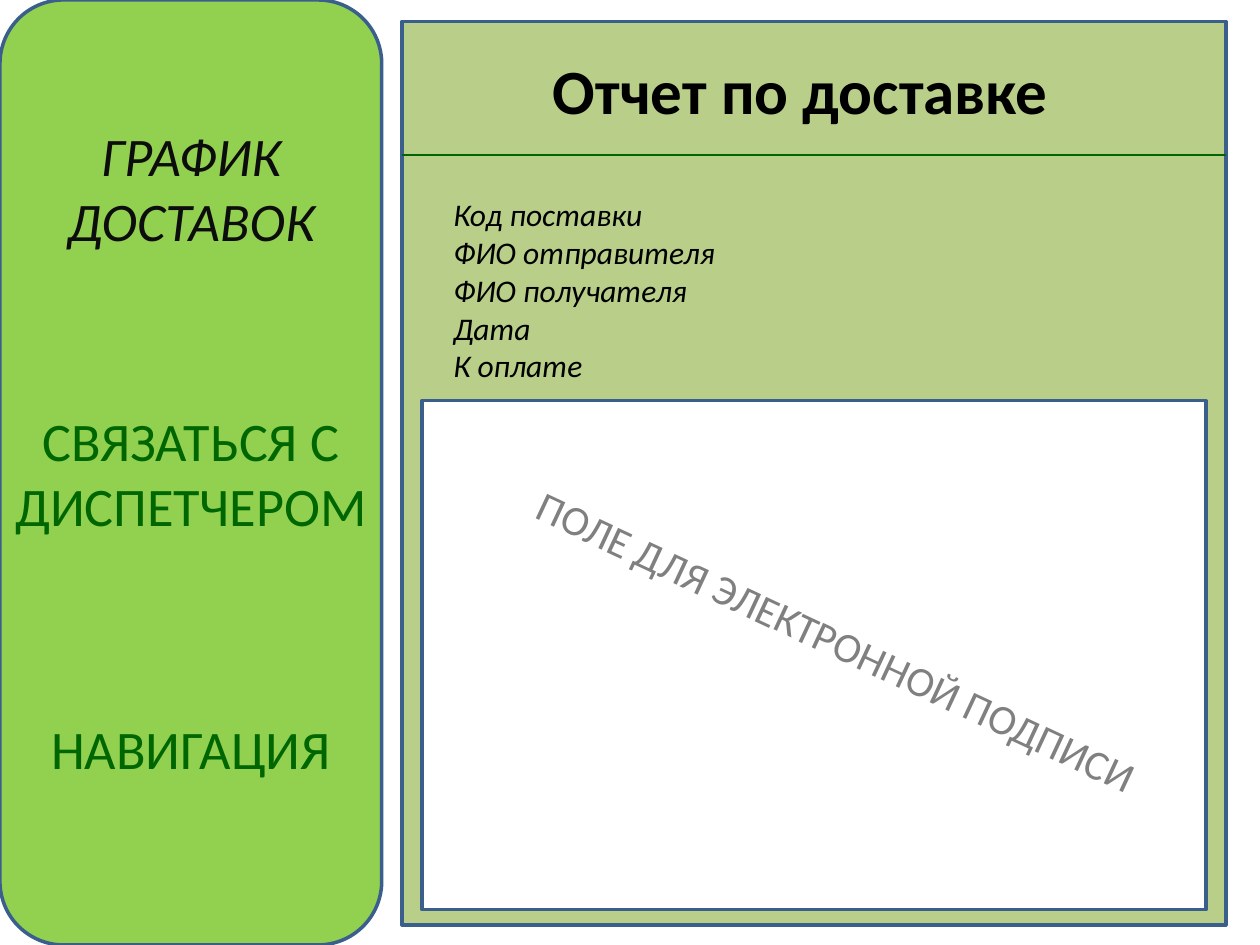
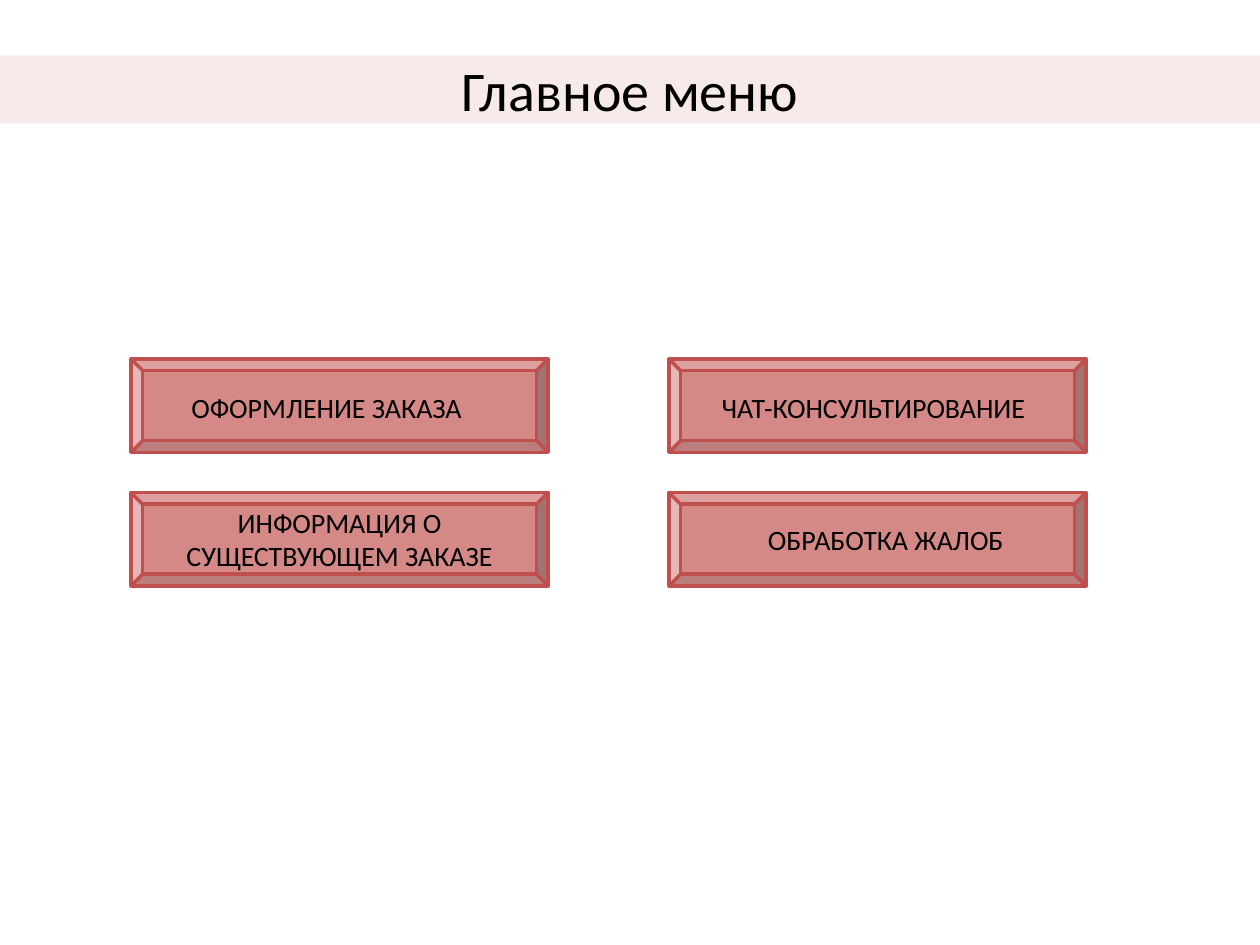
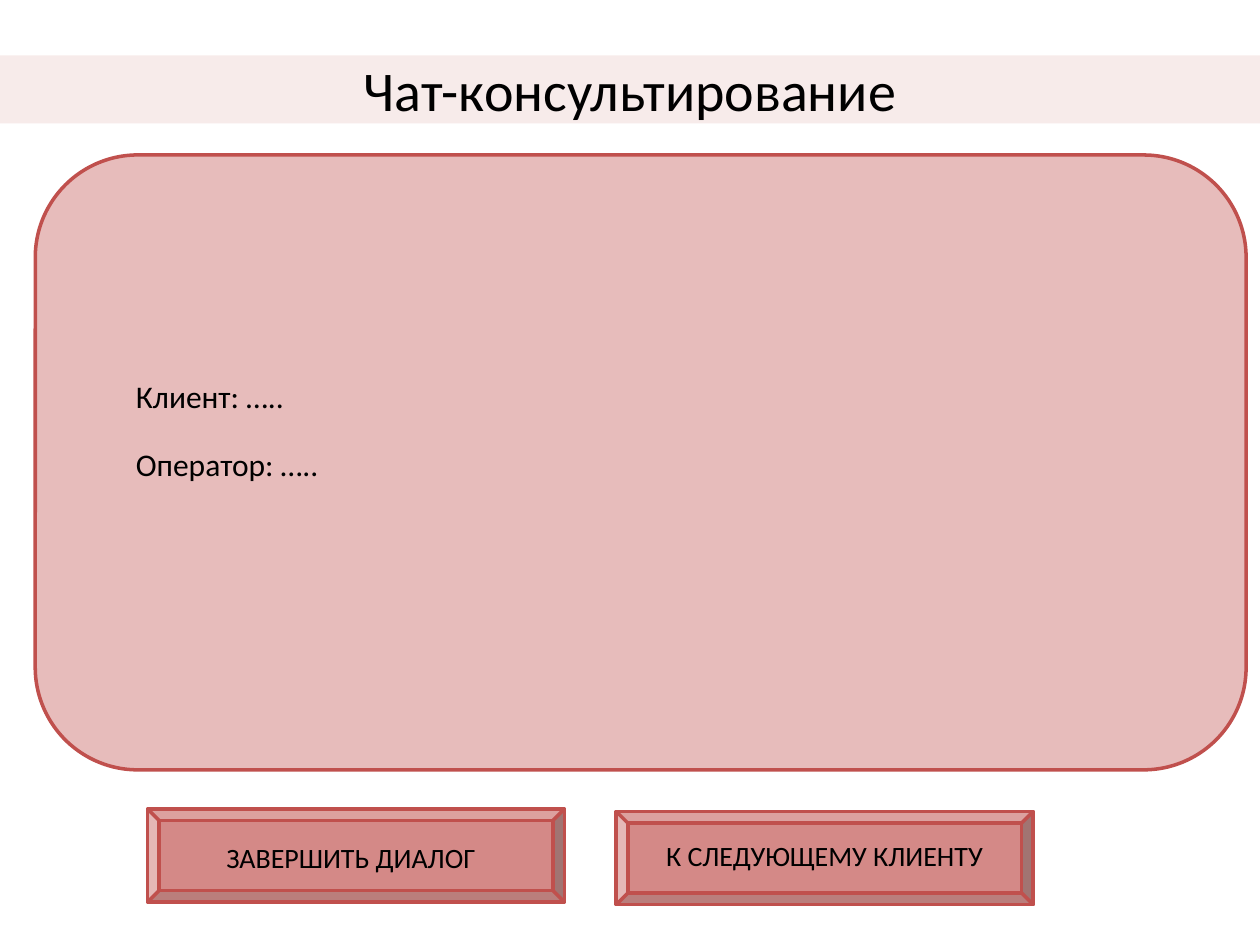
from lxml.etree import SubElement
from pptx import Presentation
from pptx.dml.color import RGBColor
from pptx.enum.shapes import MSO_CONNECTOR, MSO_SHAPE as Shape
from pptx.enum.text import MSO_ANCHOR as Anchor, MSO_AUTO_SIZE as AutoSize, PP_ALIGN as Align
from pptx.oxml.ns import qn
from pptx.util import Inches, Pt

SLIDE_W, SLIDE_H = 10, 7.5
FONT = "Calibri"
COLORS = {
    "sidebar": "92D050", "outline": "3A5F8C", "active": "0D0D0D", "green": "006600",
    "report": "9BBB59", "white": "FFFFFF", "black": "000000", "hint": "808080",
    "red": "C0504D", "band": "D99694",
}

# Content: delivery report
SIDEBAR_W = 3.03
SIDEBAR = [  # text, top, height, colour, italic
    ("ГРАФИК ДОСТАВОК", 0.92, 1.18, "active", True),
    ("СВЯЗАТЬСЯ С ДИСПЕТЧЕРОМ", 3.18, 1.14, "green", False),
    ("НАВИГАЦИЯ", 5.63, 0.62, "green", False),
]
REPORT_TITLE = "Отчет по доставке"
REPORT_FIELDS = ["Код поставки", "ФИО отправителя", "ФИО получателя", "Дата", "К оплате"]
SIGNATURE_HINT = "ПОЛЕ ДЛЯ ЭЛЕКТРОННОЙ ПОДПИСИ"

# Content: buttons as label, button corner, caption inset (x, y), caption size, alignment
BUTTON_W, BUTTON_H = 3.31, 0.74
MENU_COLUMNS, MENU_ROWS = (1.04, 5.31), (2.85, 3.91)
MENU_TITLE = "Главное меню"
MENU_BUTTONS = [
    ("ОФОРМЛЕНИЕ ЗАКАЗА", (MENU_COLUMNS[0], MENU_ROWS[0]), (0.38, 0.2), (2.79, 0.37), Align.LEFT),
    ("ЧАТ-КОНСУЛЬТИРОВАНИЕ", (MENU_COLUMNS[1], MENU_ROWS[0]), (0.32, 0.2), (2.76, 0.37), Align.LEFT),
    ("ИНФОРМАЦИЯ О СУЩЕСТВУЮЩЕМ ЗАКАЗЕ", (MENU_COLUMNS[0], MENU_ROWS[1]),
     (0.18, 0.05), (2.95, 0.64), Align.CENTER),
    ("ОБРАБОТКА ЖАЛОБ", (MENU_COLUMNS[1], MENU_ROWS[1]), (0.31, 0.19), (2.82, 0.37), Align.CENTER),
]
CHAT_TITLE = "Чат-консультирование"
CHAT_LINES = ["Клиент: …..", "Оператор: ….."]
CHAT_TOP, CHAT_STEP = 2.94, 0.54
CHAT_BUTTONS = [
    ("ЗАВЕРШИТЬ ДИАЛОГ", (1.17, 6.42), (0.07, 0.2), (3.09, 0.37), Align.CENTER),
    ("К СЛЕДУЮЩЕМУ КЛИЕНТУ", (4.89, 6.44), (0.11, 0.17), (3.09, 0.37), Align.CENTER),
]


def rgb(color):
    return RGBColor.from_string(COLORS[color])


def add_panel(slide, kind, box, fill, line=None, opacity=100):
    panel = slide.shapes.add_shape(kind, *map(Inches, box))
    panel.shadow.inherit = False
    panel.fill.solid()
    panel.fill.fore_color.rgb = rgb(fill)
    if opacity < 100:
        tint = panel.fill._xPr.find(qn("a:solidFill"))[0]
        SubElement(tint, qn("a:alpha"), val=str(opacity * 1000))
    if line:
        panel.line.color.rgb = rgb(line)
        panel.line.width = Pt(2)
    else:
        panel.line.fill.background()
    return panel


def write(frame, lines, size, color="black", align=Align.LEFT, bold=False, italic=False):
    frame.word_wrap = True
    for i, line in enumerate(lines):
        paragraph = frame.add_paragraph() if i else frame.paragraphs[0]
        paragraph.text = line
        paragraph.alignment = align
        font = paragraph.font
        font.name, font.size, font.bold, font.italic = FONT, Pt(size), bold, italic
        font.color.rgb = rgb(color)


def add_text(slide, box, lines, size, **style):
    label = slide.shapes.add_textbox(*map(Inches, box))
    write(label.text_frame, lines, size, **style)
    label.text_frame.auto_size = AutoSize.SHAPE_TO_FIT_TEXT
    return label


def add_title_band(slide, title):
    band = add_panel(slide, Shape.RECTANGLE, (0, 0.44, SLIDE_W, 0.54), "band", opacity=19)
    write(band.text_frame, [title], 32, align=Align.CENTER)
    band.text_frame.vertical_anchor = Anchor.MIDDLE


def add_buttons(slide, buttons):
    for label, (left, top), (dx, dy), size, align in buttons:
        add_panel(slide, Shape.BEVEL, (left, top, BUTTON_W, BUTTON_H), "red", "red", 67)
        add_text(slide, (left + dx, top + dy, *size), [label], 16, align=align)


def build_report(slide):
    # Sidebar
    add_panel(slide, Shape.ROUNDED_RECTANGLE, (0, 0, SIDEBAR_W, SLIDE_H), "sidebar", "outline")
    for text, top, height, color, italic in SIDEBAR:
        add_text(slide, (0, top, SIDEBAR_W, height), [text], 31,
                 color=color, align=Align.CENTER, italic=italic)

    # Report card with its heading rule
    left, width, rule_y = 3.19, 6.54, 1.23
    add_panel(slide, Shape.RECTANGLE, (left, 0.17, width, 7.17), "report", "outline", 71)
    rule = slide.shapes.add_connector(
        MSO_CONNECTOR.STRAIGHT, *map(Inches, (left, rule_y, left + width, rule_y)))
    rule.line.color.rgb = rgb("green")
    rule.line.width = Pt(1)
    SubElement(rule._element.spPr, qn("a:effectLst"))
    add_text(slide, (4.29, 0.36, 4.88, 0.71), [REPORT_TITLE], 36, bold=True)
    add_text(slide, (3.5, 1.5, 6.06, 1.62), REPORT_FIELDS, 18, italic=True)

    # Signature field
    add_panel(slide, Shape.RECTANGLE, (3.35, 3.18, 6.22, 4.04), "white", "outline")
    hint = add_text(slide, (3.94, 4.88, 5.59, 0.5), [SIGNATURE_HINT], 24, color="hint")
    hint.rotation = 25


def build_menu(slide):
    add_title_band(slide, MENU_TITLE)
    add_buttons(slide, MENU_BUTTONS)


def build_chat(slide):
    add_title_band(slide, CHAT_TITLE)
    add_panel(slide, Shape.ROUNDED_RECTANGLE, (0.28, 1.23, 9.61, 4.88), "red", "red", 38)
    for i, line in enumerate(CHAT_LINES):
        add_text(slide, (0.98, CHAT_TOP + i * CHAT_STEP, 2.89, 0.4), [line], 18)
    add_buttons(slide, CHAT_BUTTONS)


def main():
    deck = Presentation()
    deck.slide_width, deck.slide_height = Inches(SLIDE_W), Inches(SLIDE_H)
    for build in (build_report, build_menu, build_chat):
        build(deck.slides.add_slide(deck.slide_layouts[6]))
    deck.save("out.pptx")


if __name__ == "__main__":
    main()
